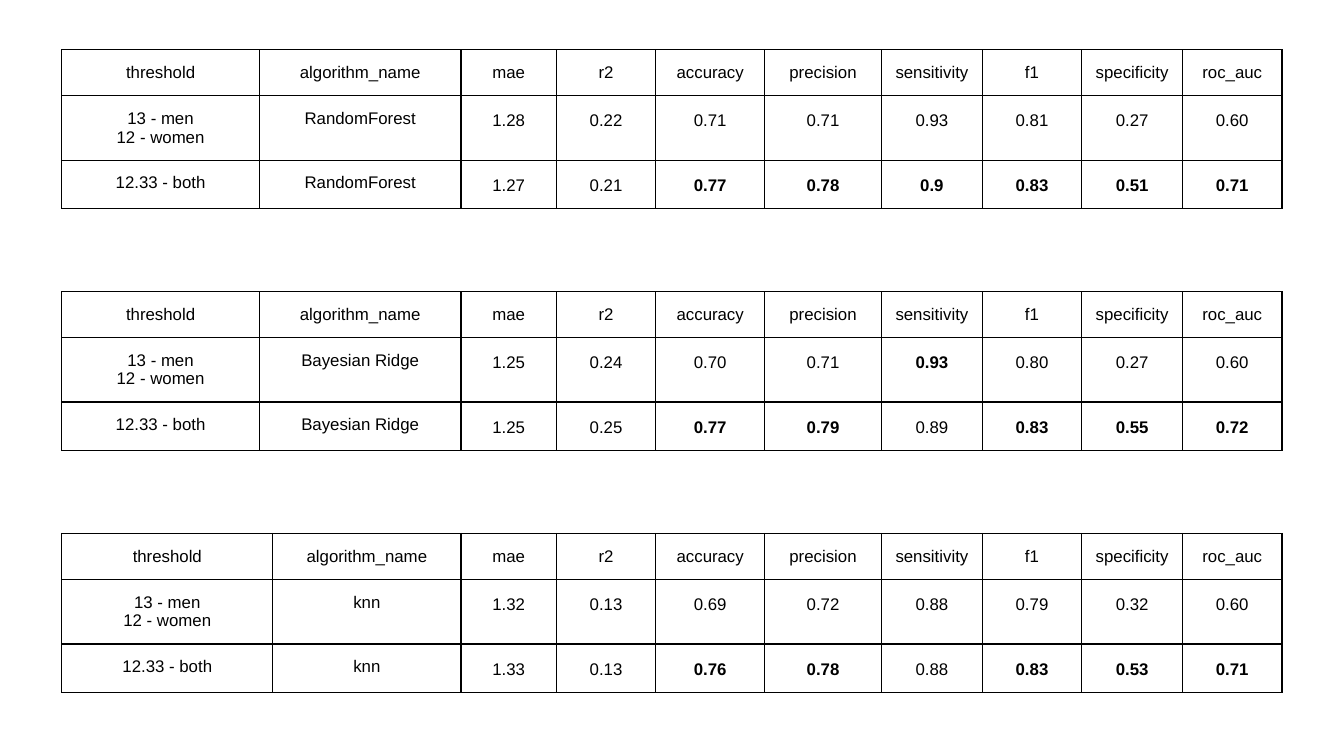
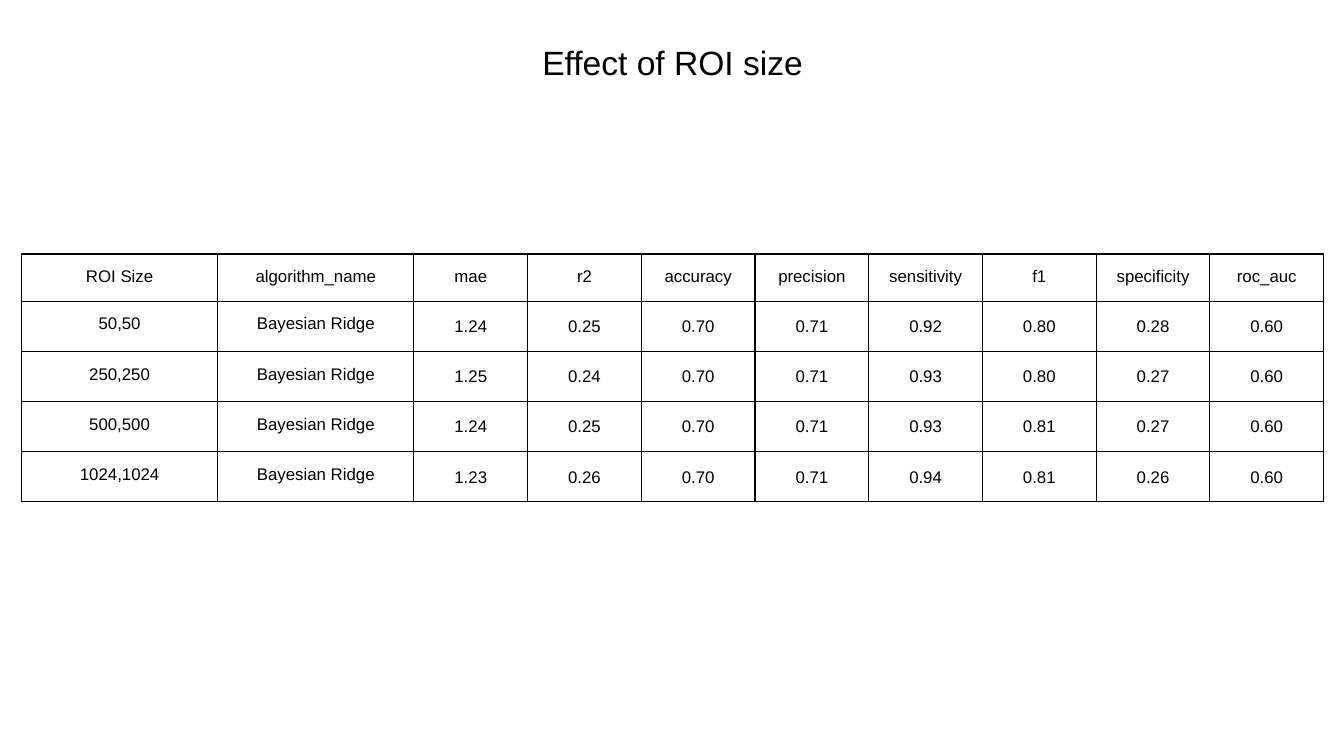
import pptx
import pptx.dml.color
import pptx.enum.text
import pptx.oxml
import pptx.oxml.ns
import pptx.util

Inches = pptx.util.Inches
Pt = pptx.util.Pt
BLACK = pptx.dml.color.RGBColor(0x00, 0x00, 0x00)
CENTER = pptx.enum.text.PP_ALIGN.CENTER
TOP = pptx.enum.text.MSO_ANCHOR.TOP
FONT_NAME = "Arial"
MARGIN = Inches(0.1)
ROW_HEIGHT = 0.2
METRICS = ["mae", "r2", "accuracy", "precision", "sensitivity", "f1", "specificity", "roc_auc"]
METRIC_WIDTHS = [0.71, 0.74, 0.81, 0.87] + [0.75, 0.74] * 2
THRESHOLDS = ["13 - men\n12 - women", "12.33 - both"]
BOLD_MARK = "*"

THRESHOLD_RESULTS = [
    ("RandomForest", [1.47, 1.5], [
        "1.28 0.22 0.71 0.71 0.93 0.81 0.27 0.60",
        "1.27 0.21 0.77* 0.78* 0.9* 0.83* 0.51* 0.71*"]),
    ("Bayesian Ridge", [1.47, 1.5], [
        "1.25 0.24 0.70 0.71 0.93* 0.80 0.27 0.60",
        "1.25 0.25 0.77* 0.79* 0.89 0.83* 0.55* 0.72*"]),
    ("knn", [1.57, 1.4], [
        "1.32 0.13 0.69 0.72 0.88 0.79 0.32 0.60",
        "1.33 0.13 0.76* 0.78* 0.88 0.83* 0.53* 0.71*"]),
]
ROI_RESULTS = {
    "50,50": "1.24 0.25 0.70 0.71 0.92 0.80 0.28 0.60",
    "250,250": "1.25 0.24 0.70 0.71 0.93 0.80 0.27 0.60",
    "500,500": "1.24 0.25 0.70 0.71 0.93 0.81 0.27 0.60",
    "1024,1024": "1.23 0.26 0.70 0.71 0.94 0.81 0.26 0.60",
}


def apply_format(target, values):
    """Set each attribute of the target from a dict."""
    for attribute, value in values.items():
        setattr(target, attribute, value)


def format_text(frame, size, bold=False, spacing=None):
    """Centre and style every paragraph of a text frame."""
    for paragraph in frame.paragraphs:
        apply_format(paragraph, {"alignment": CENTER, "line_spacing": spacing})
        for run in paragraph.runs:
            apply_format(run.font, {"name": FONT_NAME, "size": Pt(size), "bold": bold})
            run.font.color.rgb = BLACK


def inset_text(holder):
    """Give a cell or text frame equal margins and start its text at the top."""
    apply_format(holder, {"margin_left": MARGIN, "margin_right": MARGIN, "margin_top": MARGIN,
                          "margin_bottom": MARGIN, "vertical_anchor": TOP})


def outline_cell(cell):
    """Draw thin black borders round a cell and leave it unfilled."""
    properties = cell._tc.get_or_add_tcPr()
    for side in ("lnL", "lnR", "lnT", "lnB"):
        properties.append(pptx.oxml.parse_xml(
            f'<a:{side} {pptx.oxml.ns.nsdecls("a")} w="{Pt(0.75)}">'
            f'<a:solidFill><a:srgbClr val="{BLACK}"/></a:solidFill></a:{side}>'))
    cell.fill.background()


def fill_cell(cell, entry, spacing):
    """Write one entry into a cell, in bold where it ends with the bold mark."""
    cell.text = entry.rstrip(BOLD_MARK)
    inset_text(cell)
    format_text(cell.text_frame, 9, entry.endswith(BOLD_MARK), spacing)
    outline_cell(cell)


def add_results(slide, left, top, widths, subject, algorithm, results):
    """Add a metrics table with one row for each (setting, values) pair."""
    rows = [[subject, "algorithm_name"] + METRICS]
    rows += [[setting, algorithm] + values.split() for setting, values in results]
    table = slide.shapes.add_table(
        len(rows), len(widths), Inches(left), Inches(top),
        Inches(sum(widths)), Inches(ROW_HEIGHT * len(rows))).table
    apply_format(table, {"first_row": False, "horz_banding": False})
    for column, width in zip(table.columns, widths):
        column.width = Inches(width)
    for r, row in enumerate(rows):
        for c, entry in enumerate(row):
            fill_cell(table.cell(r, c), entry, 1.15 if r > 0 and c > 1 else None)


def add_title(slide, text, left, top, width, height):
    """Place and style the slide title."""
    title = slide.shapes.title
    apply_format(title, {"left": Inches(left), "top": Inches(top),
                         "width": Inches(width), "height": Inches(height)})
    frame = title.text_frame
    frame.text = text
    inset_text(frame)
    apply_format(frame, {"word_wrap": True,
                         "auto_size": pptx.enum.text.MSO_AUTO_SIZE.SHAPE_TO_FIT_TEXT})
    format_text(frame, 18)


def build_threshold_slide(deck, left, top, step):
    """Stack one threshold table for each algorithm."""
    slide = deck.slides.add_slide(deck.slide_layouts[6])
    for index, (algorithm, label_widths, values) in enumerate(THRESHOLD_RESULTS):
        add_results(slide, left, top + index * step, label_widths + METRIC_WIDTHS,
                    "threshold", algorithm, zip(THRESHOLDS, values))


def build_roi_slide(deck, left, top, width):
    """Show the ROI size title above its table."""
    slide = deck.slides.add_slide(deck.slide_layouts[5])
    add_title(slide, "Effect of ROI size", left, top, width, 0.5)
    label_widths = [1.46] * 2
    metric_width = (width - sum(label_widths)) / len(METRICS)
    add_results(slide, left, top + 1.68, label_widths + [metric_width] * len(METRICS),
                "ROI Size", "Bayesian Ridge", ROI_RESULTS.items())


def main():
    """Build and save the deck."""
    deck = pptx.Presentation()
    apply_format(deck, {"slide_width": Inches(10), "slide_height": Inches(10) * 9 // 16})
    build_threshold_slide(deck, 0.46, 0.37, 1.8)
    build_roi_slide(deck, 0.16, 0.21, 9.69)
    deck.save("out.pptx")


if __name__ == "__main__":
    main()
